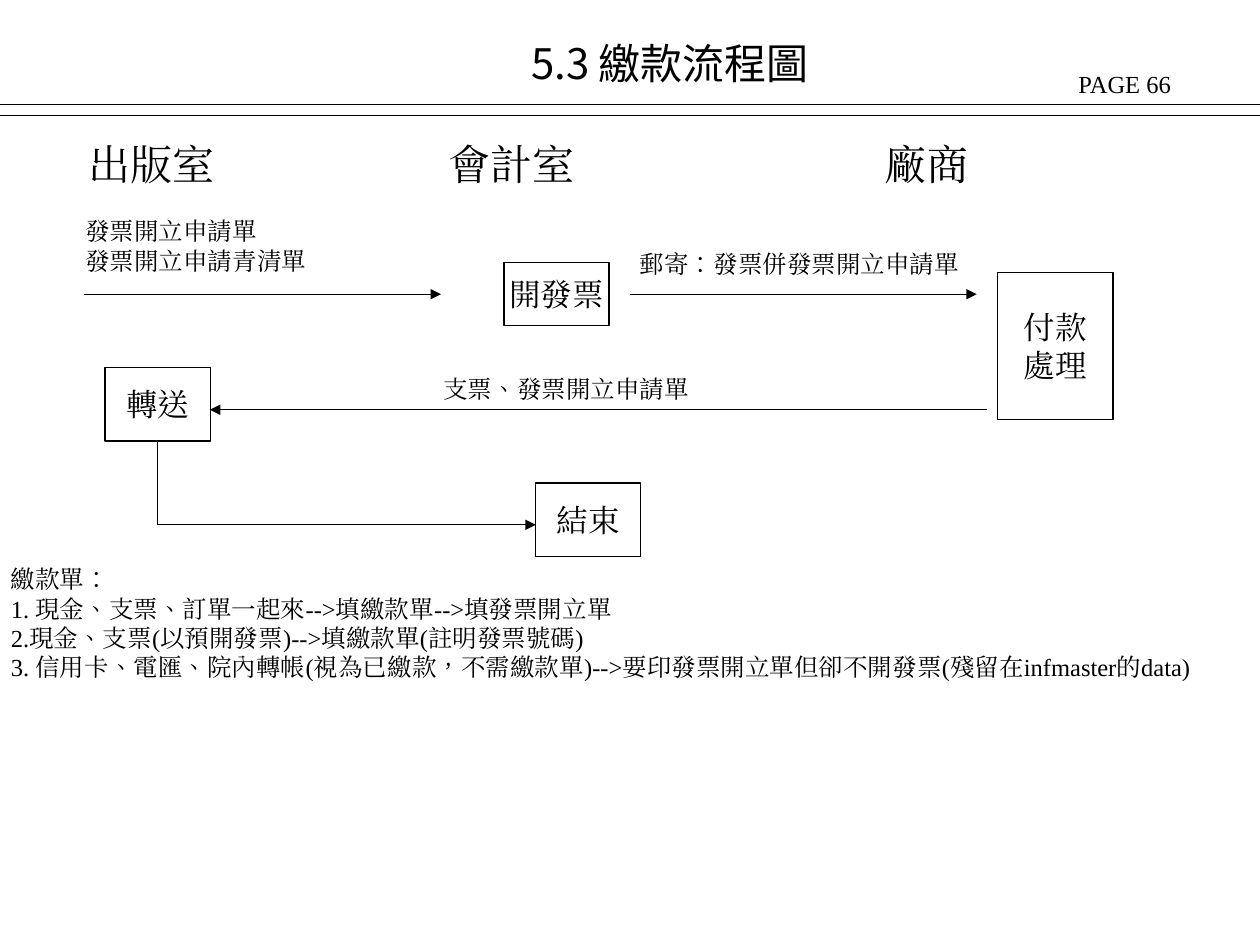
"""Build the payment flow chart slide."""
from dataclasses import dataclass

import pptx
import pptx.dml.color
import pptx.enum.shapes
import pptx.enum.text
import pptx.oxml
import pptx.oxml.ns
import pptx.util

Cm = pptx.util.Cm


@dataclass(frozen=True)
class Theme:
    ink: pptx.dml.color.RGBColor = pptx.dml.color.RGBColor(0, 0, 0)
    serif: str = "Times New Roman"
    sans: str = "Noto Sans CJK TC"
    lang: str = "zh-TW"
    head: int = 24
    step: int = 18
    body: int = 14
    rule: float = 0.75


THEME = Theme()


def add_xml(node, tag, **attrs):
    item = pptx.oxml.parse_xml(f"<a:{tag} {pptx.oxml.ns.nsdecls('a')}/>")
    for key, value in attrs.items():
        item.set(key, value)
    node.append(item)


def set_text(shape, text, size, face, align):
    frame = shape.text_frame
    frame.text = text
    frame.word_wrap = False
    for para in frame.paragraphs:
        para.alignment = align
        for run in para.runs:
            run.font.size = pptx.util.Pt(size)
            run.font.name = face
            run.font.color.rgb = THEME.ink
            run.font._element.set("lang", THEME.lang)
            add_xml(run.font._element, "ea", typeface=face)


def add_label(slide, text, left, top, width, height, size=THEME.body, face=THEME.serif):
    box = slide.shapes.add_textbox(Cm(left), Cm(top), Cm(width), Cm(height))
    set_text(box, text, size, face, pptx.enum.text.PP_ALIGN.LEFT)
    box.text_frame.auto_size = pptx.enum.text.MSO_AUTO_SIZE.SHAPE_TO_FIT_TEXT


def add_step(slide, text, left, top, width, height):
    box = slide.shapes.add_shape(
        pptx.enum.shapes.MSO_SHAPE.RECTANGLE, Cm(left), Cm(top), Cm(width), Cm(height))
    box.shadow.inherit = False
    box.fill.background()
    box.line.color.rgb = THEME.ink
    box.line.width = pptx.util.Pt(THEME.rule)
    box.text_frame.vertical_anchor = pptx.enum.text.MSO_ANCHOR.MIDDLE
    set_text(box, text, THEME.step, THEME.serif, pptx.enum.text.PP_ALIGN.CENTER)
    return box


def add_line(slide, x1, y1, x2, y2, arrow=False):
    line = slide.shapes.add_connector(
        pptx.enum.shapes.MSO_CONNECTOR.STRAIGHT, Cm(x1), Cm(y1), Cm(x2), Cm(y2))
    line.line.color.rgb = THEME.ink
    line.line.width = pptx.util.Pt(THEME.rule)
    if arrow:
        add_xml(line.line._get_or_add_ln(), "tailEnd", type="triangle")
    add_xml(line._element.spPr, "effectLst")
    return line


def add_head(slide):
    add_label(slide, "PAGE 66", 21.49, 1.27, 3.99, 0.86)
    add_label(slide, "5.3 繳款流程圖", 10.46, 0.64, 6.9, 1.27, THEME.head, THEME.sans)
    for y in (2.11, 2.33):
        add_line(slide, 0, y, 25.4, y)
    for text, left, width in (
            ("出版室", 1.53, 3.05), ("會計室", 8.79, 3.05), ("廠商", 17.58, 2.2)):
        add_label(slide, text, left, 2.67, width, 1.27, THEME.head)


def add_flow(slide):
    add_step(slide, "開發票", 10.16, 5.29, 2.12, 1.27)
    add_step(slide, "付款\n處理", 20.11, 5.5, 2.33, 2.96)
    relay = add_step(slide, "轉送", 2.12, 7.41, 2.12, 1.48)
    add_step(slide, "結束", 10.8, 9.74, 2.12, 1.48)
    for x1, y1, x2 in ((1.69, 5.93, 8.89), (12.7, 5.93, 19.69),
                       (19.9, 8.26, 4.23), (3.18, 10.58, 10.8)):
        add_line(slide, x1, y1, x2, y1, arrow=True)
    drop = add_line(slide, 3.18, 8.89, 3.18, 10.58)
    drop.begin_connect(relay, 2)
    add_label(slide, "發票開立申請單\n發票開立申請青清單", 1.47, 4.24, 4.97, 1.45)
    add_label(slide, "郵寄：發票併發票開立申請單", 12.65, 4.9, 6.95, 0.86)
    add_label(slide, "支票、發票開立申請單", 8.69, 7.41, 5.46, 0.86)


def add_notes(slide):
    lines = (
        "繳款單：",
        "1. 現金、支票、訂單一起來-->填繳款單-->填發票開立單",
        "2.現金、支票(以預開發票)-->填繳款單(註明發票號碼)",
        "3. 信用卡、電匯、院內轉帳(視為已繳款，不需繳款單)"
        "-->要印發票開立單但卻不開發票(殘留在infmaster的data)",
    )
    add_label(slide, "\n".join(lines), -0.03, 11.25, 25.45, 2.64)


def main():
    deck = pptx.Presentation()
    deck.slide_width = Cm(25.4)
    deck.slide_height = Cm(19.05)
    slide = deck.slides.add_slide(deck.slide_layouts[6])
    add_head(slide)
    add_flow(slide)
    add_notes(slide)
    deck.save("out.pptx")


if __name__ == "__main__":
    main()
